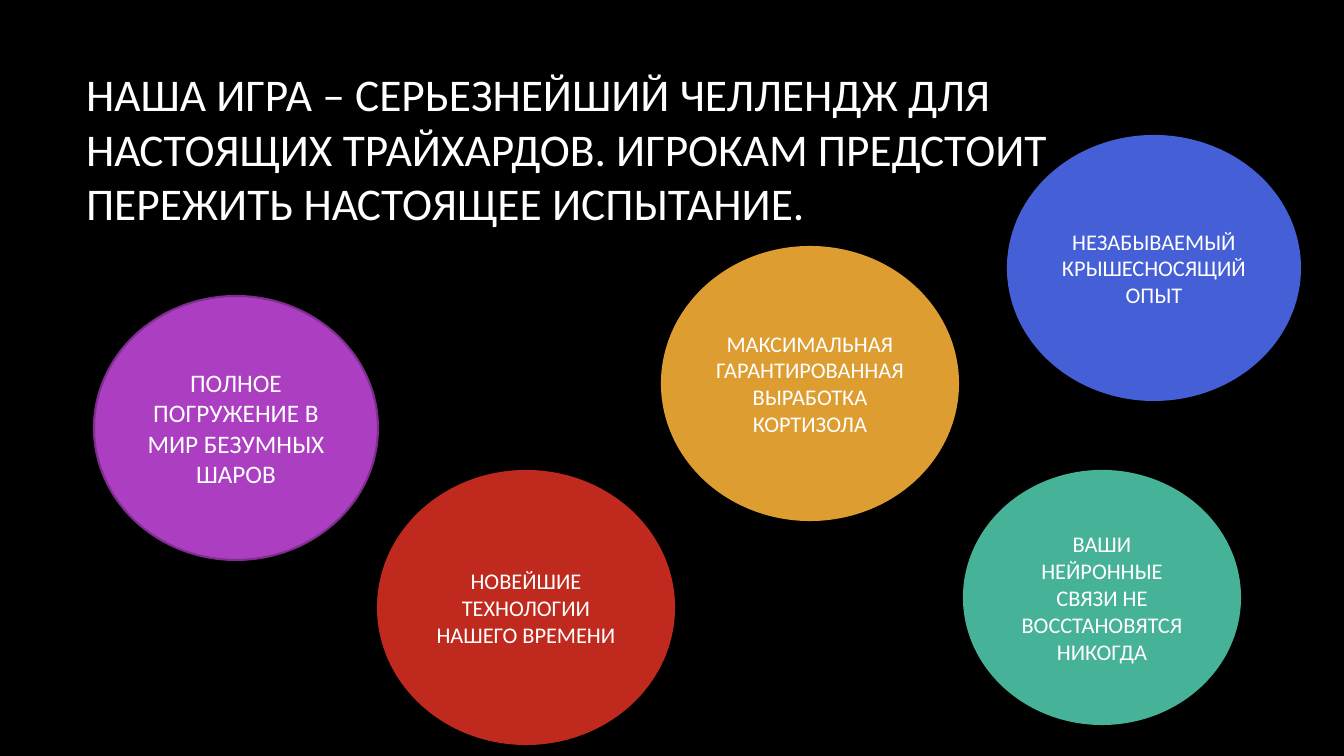
from pptx import Presentation
from pptx.dml.color import RGBColor
from pptx.enum.shapes import MSO_SHAPE as Shape
from pptx.enum.text import MSO_ANCHOR as Anchor, MSO_AUTO_SIZE as AutoSize, PP_ALIGN as Align
from pptx.util import Pt

PAGE_WIDTH, PAGE_HEIGHT = 1344, 756
EMU_PER_PX = 12192000 / PAGE_WIDTH

BLACK = RGBColor(0x00, 0x00, 0x00)
WHITE = RGBColor(0xFF, 0xFF, 0xFF)
PURPLE = RGBColor(0xAC, 0x3E, 0xC1)
DARK_PURPLE = RGBColor(0x7F, 0x2E, 0x8F)
BLUE = RGBColor(0x45, 0x5F, 0xD6)
GREEN = RGBColor(0x46, 0xB2, 0x98)
ORANGE = RGBColor(0xDD, 0x9D, 0x31)
RED = RGBColor(0xC0, 0x2A, 0x1E)

TITLE_BOX = (76, 68, 1117, 160)
TITLE = ("НАША ИГРА – СЕРЬЕЗНЕЙШИЙ ЧЕЛЛЕНДЖ ДЛЯ НАСТОЯЩИХ ТРАЙХАРДОВ. "
         "ИГРОКАМ ПРЕДСТОИТ ПЕРЕЖИТЬ НАСТОЯЩЕЕ ИСПЫТАНИЕ.")

# box, fill, outline, text size, text
BALLS = [
    ((94, 296, 284, 264), PURPLE, DARK_PURPLE, 18, "ПОЛНОЕ ПОГРУЖЕНИЕ В МИР БЕЗУМНЫХ ШАРОВ"),
    ((1008, 136, 292, 264), BLUE, BLUE, 16, "НЕЗАБЫВАЕМЫЙ КРЫШЕСНОСЯЩИЙ ОПЫТ"),
    ((964, 471, 276, 253), GREEN, GREEN, 16, "ВАШИ НЕЙРОННЫЕ СВЯЗИ НЕ ВОССТАНОВЯТСЯ НИКОГДА"),
    ((662, 247, 296, 273), ORANGE, ORANGE, 16, "МАКСИМАЛЬНАЯ ГАРАНТИРОВАННАЯ ВЫРАБОТКА КОРТИЗОЛА"),
    ((378, 471, 296, 273), RED, RED, 16, "НОВЕЙШИЕ ТЕХНОЛОГИИ НАШЕГО ВРЕМЕНИ"),
]


def px(length):
    return round(length * EMU_PER_PX)


def write(shape, text, size, align=Align.CENTER, color=WHITE, font="Calibri"):
    frame = shape.text_frame
    frame.word_wrap = True
    frame.auto_size = AutoSize.NONE
    frame.vertical_anchor = Anchor.MIDDLE
    para = frame.paragraphs[0]
    para.alignment = align
    span = para.add_run()
    span.text = text
    span.font.name = font
    span.font.size = Pt(size)
    span.font.color.rgb = color


def place_title(page, box, text):
    title = page.shapes.title
    title.left, title.top, title.width, title.height = map(px, box)
    write(title, text, 32.4, align=Align.LEFT)


def add_ball(page, box, fill, outline, size, text):
    ball = page.shapes.add_shape(Shape.FLOWCHART_CONNECTOR, *map(px, box))
    ball.shadow.inherit = False
    ball.fill.solid()
    ball.fill.fore_color.rgb = fill
    ball.line.color.rgb = outline
    ball.line.width = Pt(1.5)
    write(ball, text, size)


def main():
    deck = Presentation()
    deck.slide_width, deck.slide_height = px(PAGE_WIDTH), px(PAGE_HEIGHT)
    page = deck.slides.add_slide(deck.slide_layouts.get_by_name("Title Only"))
    page.background.fill.solid()
    page.background.fill.fore_color.rgb = BLACK
    place_title(page, TITLE_BOX, TITLE)
    for ball in BALLS:
        add_ball(page, *ball)
    deck.save("out.pptx")


if __name__ == "__main__":
    main()
